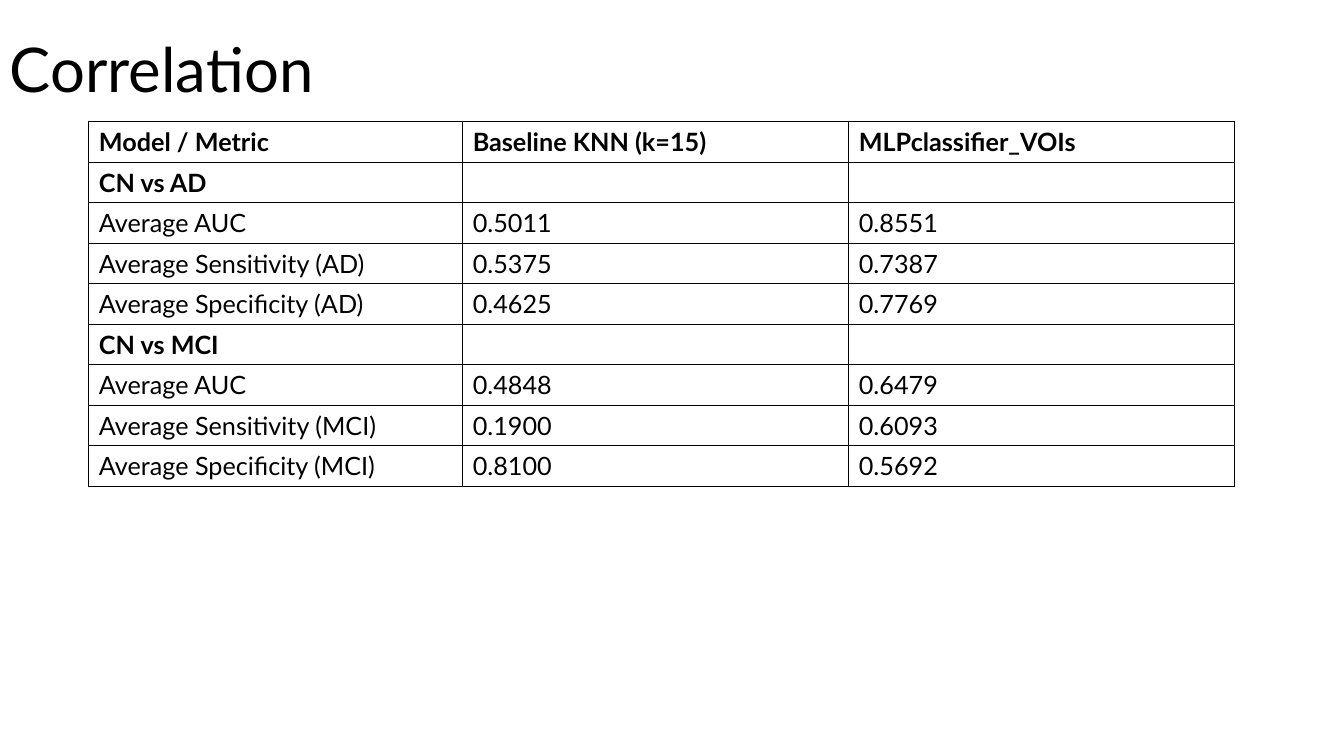
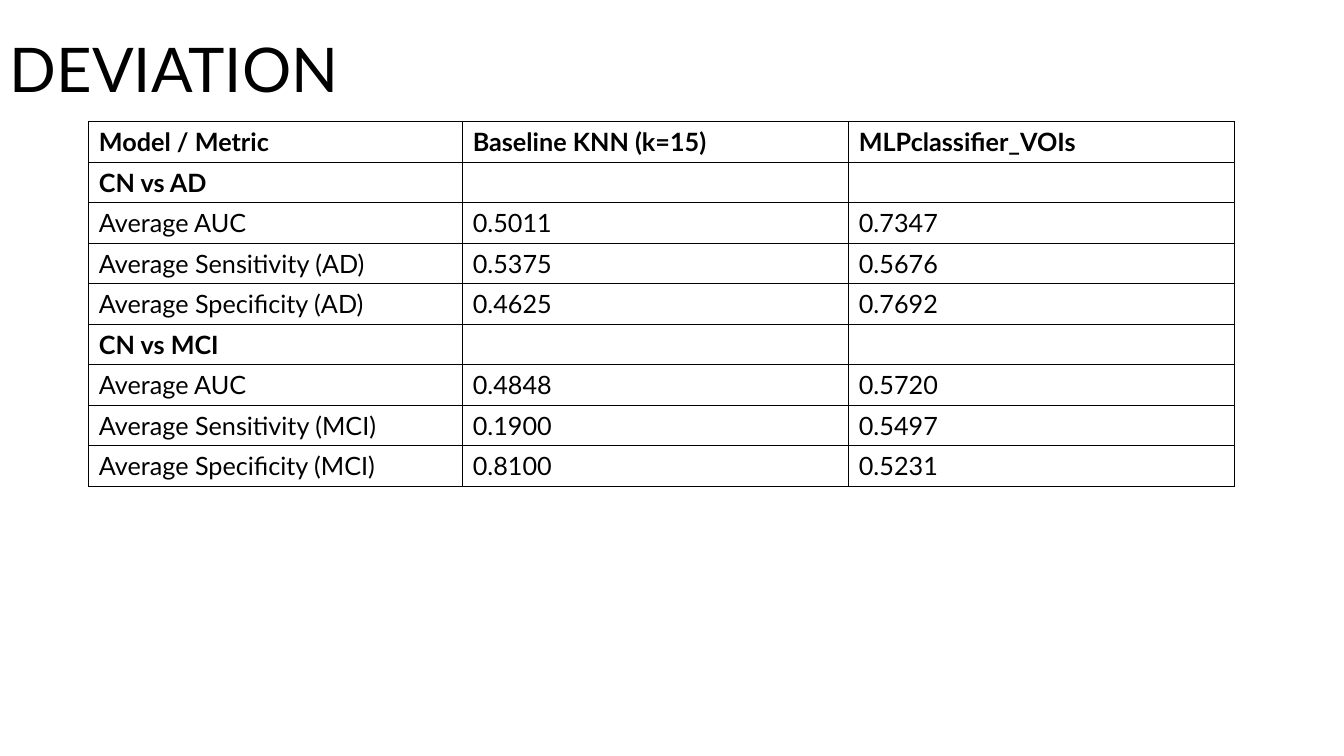
import pptx
import pptx.util
import pptx.dml.color
import pptx.enum.text
from pptx.oxml import parse_xml
from pptx.oxml.ns import nsdecls

Cm, Pt = pptx.util.Cm, pptx.util.Pt
MIDDLE = pptx.enum.text.MSO_ANCHOR.MIDDLE

COLORS = {"text": "000000", "border": "000000", "background": "FFFFFF"}
FORMATS = {
    "title": {"name": "Lato", "size": Pt(44), "bold": False},
    "heading": {"name": "Lato", "size": Pt(18), "bold": True},
    "body": {"name": "Lato", "size": Pt(18), "bold": False},
}

# Content shared by both slides
HEADER = ("Model / Metric", "Baseline KNN (k=15)", "MLPclassifier_VOIs")
BASELINE = {
    "AD": ("0.5011", "0.5375", "0.4625"),
    "MCI": ("0.4848", "0.1900", "0.8100"),
}

# MLP scores per slide: AUC, sensitivity, specificity
RESULTS = {
    "Correlation": {
        "AD": ("0.8551", "0.7387", "0.7769"),
        "MCI": ("0.6479", "0.6093", "0.5692"),
    },
    "DEVIATION": {
        "AD": ("0.7347", "0.5676", "0.7692"),
        "MCI": ("0.5720", "0.5497", "0.5231"),
    },
}


class Deck:
    """Holds the shared style and the slide being built."""

    COLUMN_WIDTHS = (Cm(9.42), Cm(9.73), Cm(9.73))
    ROW_HEIGHT = Cm(1.02)

    def __init__(self):
        self.presentation = pptx.Presentation()
        self.presentation.slide_width = Cm(33.87)
        self.presentation.slide_height = Cm(19.05)
        self.slide = None

    def new_slide(self):
        blank = self.presentation.slide_layouts[6]
        self.slide = self.presentation.slides.add_slide(blank)
        fill = self.slide.background.fill
        fill.solid()
        fill.fore_color.rgb = self.color("background")

    def color(self, role):
        return pptx.dml.color.RGBColor.from_string(COLORS[role])

    def add_text(self, paragraph, text, style):
        run = paragraph.add_run()
        run.text = text
        for attribute, value in FORMATS[style].items():
            setattr(run.font, attribute, value)
        run.font.color.rgb = self.color("text")

    def title(self, text):
        heading = self.slide.shapes.add_textbox(0, 0, Cm(29.21), Cm(3.68))
        frame = heading.text_frame
        frame.word_wrap = True
        frame.vertical_anchor = MIDDLE
        frame.paragraphs[0].line_spacing = 0.9
        self.add_text(frame.paragraphs[0], text, "title")

    def table(self, rows):
        scores = self.slide.shapes.add_table(
            len(rows), len(self.COLUMN_WIDTHS), Cm(2.24), Cm(3.07),
            sum(self.COLUMN_WIDTHS), self.ROW_HEIGHT * len(rows)).table
        scores.first_row = scores.horz_banding = False
        for column, width in zip(scores.columns, self.COLUMN_WIDTHS):
            column.width = width
        for r, (style, texts) in enumerate(rows):
            scores.rows[r].height = self.ROW_HEIGHT
            for c, text in enumerate(texts):
                self.cell(scores.cell(r, c), text, style)

    def cell(self, cell, text, style):
        cell.vertical_anchor = MIDDLE
        cell.margin_top = cell.margin_bottom = Cm(0.1)
        if text:
            self.add_text(cell.text_frame.paragraphs[0], text, style)
        # Borders come before the fill in the cell properties
        properties = cell._tc.get_or_add_tcPr()
        for side in ("lnL", "lnR", "lnT", "lnB"):
            properties.append(parse_xml(
                f'<a:{side} {nsdecls("a")} w="{Pt(1)}"><a:solidFill>'
                f'<a:srgbClr val="{COLORS["border"]}"/></a:solidFill></a:{side}>'))
        cell.fill.background()


def score_rows(mlp):
    """Header, then each comparison group with its three metrics."""
    rows = [("heading", HEADER)]
    for group, baseline in BASELINE.items():
        metrics = ("Average AUC", f"Average Sensitivity ({group})",
                   f"Average Specificity ({group})")
        rows.append(("heading", (f"CN vs {group}", "", "")))
        rows += [("body", line) for line in zip(metrics, baseline, mlp[group])]
    return rows


def main():
    deck = Deck()
    for name, mlp in RESULTS.items():
        deck.new_slide()
        deck.title(name)
        deck.table(score_rows(mlp))
    deck.presentation.save("out.pptx")


if __name__ == "__main__":
    main()
